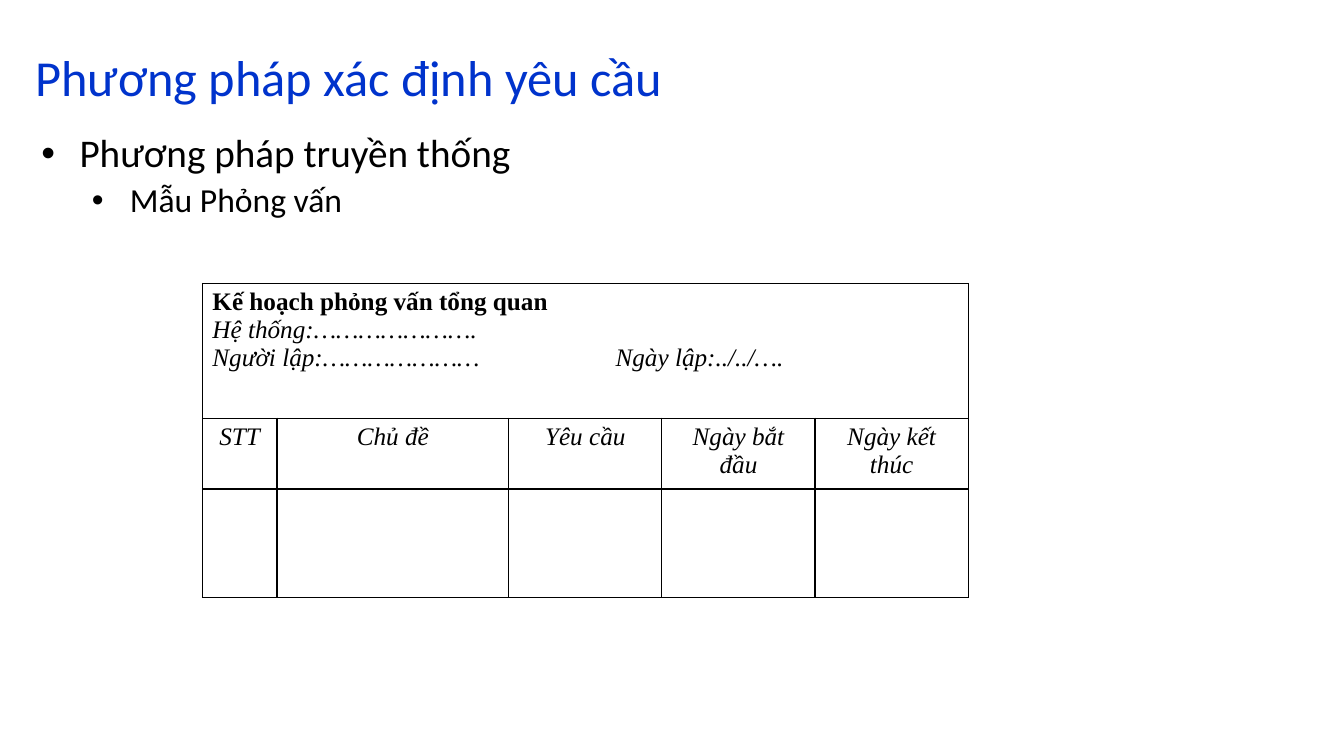
from dataclasses import dataclass

from lxml import etree
from pptx import Presentation
from pptx.dml.color import RGBColor
from pptx.enum.text import MSO_ANCHOR, MSO_AUTO_SIZE, PP_ALIGN
from pptx.oxml.ns import qn
from pptx.util import Cm, Pt

LEFT, CENTER, JUSTIFY = PP_ALIGN.LEFT, PP_ALIGN.CENTER, PP_ALIGN.JUSTIFY
TOP, BOTTOM = MSO_ANCHOR.TOP, MSO_ANCHOR.BOTTOM
NO_FIT = MSO_AUTO_SIZE.NONE


@dataclass(frozen=True)
class Style:
    size: float
    color: str = "000000"
    font: str = "Calibri"
    bold: bool = False
    italic: bool = False


@dataclass(frozen=True)
class Theme:
    title: Style = Style(36, "0033CC")
    topic: Style = Style(28)
    detail: Style = Style(24)
    head: Style = Style(18, font="Times New Roman", bold=True)
    form: Style = Style(18, font="Times New Roman", italic=True)
    border: str = "000000"
    width: float = 1


@dataclass(frozen=True)
class Box:
    left: float
    top: float
    width: float
    height: float


@dataclass(frozen=True)
class Bullet:
    text: str
    style: Style
    level: int
    margin: float
    before: float


THEME = Theme()
HANG = 0.96
TITLE = "Phương pháp xác định yêu cầu"
BULLETS = [
    Bullet("Phương pháp truyền thống", THEME.topic, 0, HANG, 0),
    Bullet("Mẫu Phỏng vấn", THEME.detail, 1, 2.23, 5),
]
FORM = [
    ("Kế hoạch phỏng vấn tổng quan", THEME.head),
    ("Hệ thống:………………….", THEME.form),
    ("Người lập:…………………\tNgày lập:../../….", THEME.form),
]
DATE_TAB = 10.16
HEADS = ["STT", "Chủ đề", "Yêu cầu", "Ngày bắt đầu", "Ngày kết thúc"]
COLS = [1.88, 5.84, 3.86, 3.86, 3.86]
ROWS = [3.4, 1.78, 2.74]


def write(para, text: str, style: Style, align=LEFT) -> None:
    para.text = text
    para.alignment = align
    for run in para.runs:
        font = run.font
        font.name, font.size = style.font, Pt(style.size)
        font.bold, font.italic = style.bold, style.italic
        font.color.rgb = RGBColor.from_string(style.color)


def place(shape, box: Box, anchor):
    """Move a placeholder and return its text frame."""
    shape.left, shape.top = Cm(box.left), Cm(box.top)
    shape.width, shape.height = Cm(box.width), Cm(box.height)
    frame = shape.text_frame
    frame.word_wrap = True
    frame.auto_size = NO_FIT
    frame.vertical_anchor = anchor
    return frame


def add_title(slide) -> None:
    frame = place(slide.shapes.title, Box(0.64, 0.3, 31.7, 2.54), BOTTOM)
    para = frame.paragraphs[0]
    write(para, TITLE, THEME.title)
    para.line_spacing = 0.9


def add_list(slide) -> None:
    frame = place(slide.placeholders[1], Box(0.79, 3.25, 18.8, 4.88), TOP)
    for i, item in enumerate(BULLETS):
        para = frame.add_paragraph() if i else frame.paragraphs[0]
        para.level = item.level
        props = para._p.get_or_add_pPr()
        props.set("marL", str(Cm(item.margin)))
        props.set("indent", str(-Cm(HANG)))
        etree.SubElement(props, qn("a:buFont"), typeface="Arial")
        etree.SubElement(props, qn("a:buChar"), char="•")
        write(para, item.text, item.style)
        para.line_spacing = 0.9
        para.space_before = Pt(item.before)


def frame_cell(cell) -> None:
    """Draw all four borders and clear the fill."""
    props = cell._tc.get_or_add_tcPr()
    for side in ("lnL", "lnR", "lnT", "lnB"):
        line = etree.SubElement(props, qn(f"a:{side}"), w=str(Pt(THEME.width)))
        fill = etree.SubElement(line, qn("a:solidFill"))
        etree.SubElement(fill, qn("a:srgbClr"), val=THEME.border)
    cell.fill.background()


def add_form(slide) -> None:
    shape = slide.shapes.add_table(
        len(ROWS), len(COLS), Cm(5.1), Cm(7.14), Cm(sum(COLS)), Cm(sum(ROWS)))
    table = shape.table
    table.first_row = table.horz_banding = False
    for col, width in zip(table.columns, COLS):
        col.width = Cm(width)
    for row, height in zip(table.rows, ROWS):
        row.height = Cm(height)
    for cell in table.iter_cells():
        frame_cell(cell)

    top = table.cell(0, 0)
    top.merge(table.cell(0, len(COLS) - 1))
    frame = top.text_frame
    for i, (text, style) in enumerate(FORM):
        para = frame.add_paragraph() if i else frame.paragraphs[0]
        if "\t" in text:
            tabs = etree.SubElement(para._p.get_or_add_pPr(), qn("a:tabLst"))
            etree.SubElement(tabs, qn("a:tab"), pos=str(Cm(DATE_TAB)), algn="l")
        write(para, text, style, JUSTIFY)
    for i, head in enumerate(HEADS):
        para = table.cell(1, i).text_frame.paragraphs[0]
        write(para, head, THEME.form, CENTER)


def main() -> None:
    deck = Presentation()
    deck.slide_width, deck.slide_height = Cm(33.87), Cm(19.05)
    slide = deck.slides.add_slide(deck.slide_layouts[1])
    add_title(slide)
    add_list(slide)
    add_form(slide)
    deck.save("out.pptx")


if __name__ == "__main__":
    main()
